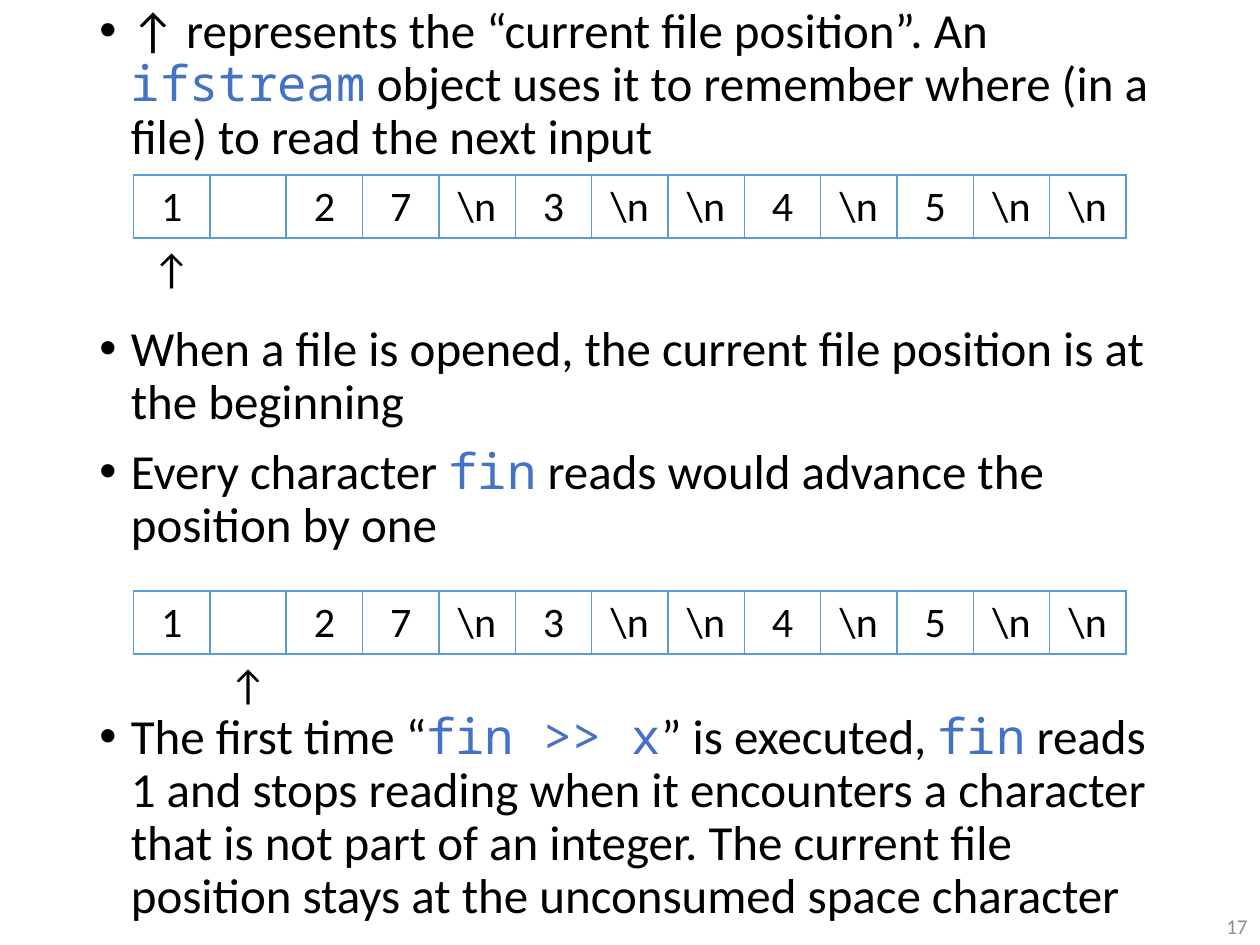
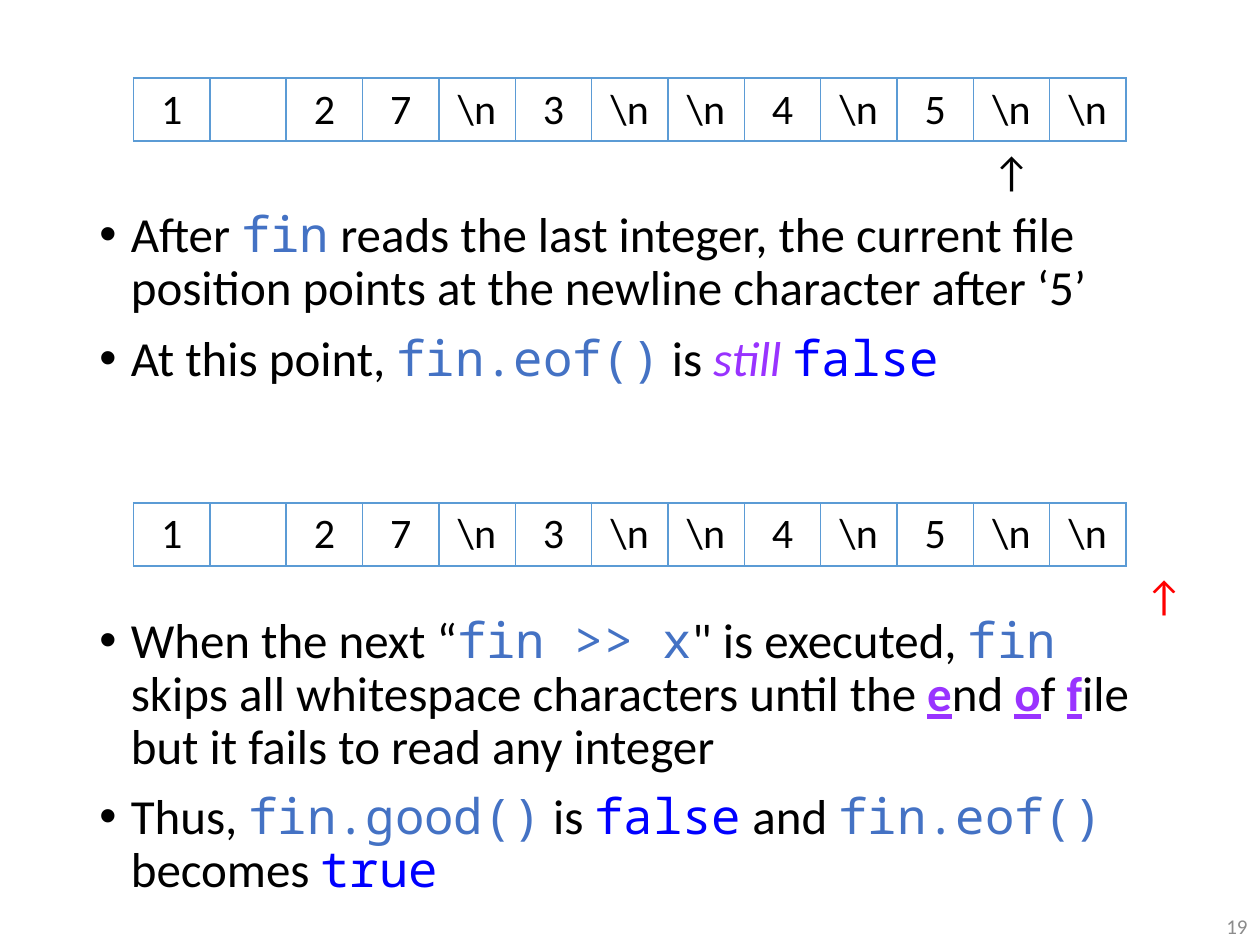
"""Two slides on how the current file position moves while reading integers."""
from dataclasses import dataclass

from lxml.etree import SubElement
from pptx import Presentation
from pptx.dml.color import RGBColor
from pptx.enum.text import MSO_ANCHOR, PP_ALIGN
from pptx.oxml.ns import qn
from pptx.util import Inches, Pt

BLACK = RGBColor(0x00, 0x00, 0x00)
GRAY = RGBColor(0x8C, 0x8C, 0x8C)
CODE_BLUE = RGBColor(0x44, 0x72, 0xC4)
KEYWORD_BLUE = RGBColor(0x00, 0x00, 0xFF)
PURPLE = RGBColor(0x99, 0x33, 0xFF)
RED = RGBColor(0xFF, 0x00, 0x00)
GRID_BLUE = RGBColor(0x5B, 0x9B, 0xD5)

SANS, MONO = "Calibri", "Noto Sans Mono"
PLAIN = {"name": SANS, "color": BLACK}
CODE = {"name": MONO, "color": CODE_BLUE}
KEYWORD = {"name": MONO, "color": KEYWORD_BLUE}
STRESS = {"name": SANS, "color": PURPLE, "italic": True}
INITIAL = {"name": SANS, "color": PURPLE, "bold": True, "underline": True}

FILE_CHARS = ["1", "", "2", "7", r"\n", "3", r"\n", r"\n", "4", r"\n", "5", r"\n", r"\n"]
GRID_LEFT, ROW_H = 1.06, 0.5
CELL_W = 7.88 / len(FILE_CHARS)
NO_STYLE = "{2D5ABB26-0587-4C30-8999-92F81FD0307C}"
BODY_LEFT, BODY_W = 0.69, 8.62
BULLET_GAP, SKIPPED_LINE = 10, 40.4


@dataclass
class Bullet:
    """A bullet made of styled pieces, with room for skipped lines above."""
    pieces: list[tuple[str, dict]]
    skipped: int = 0


@dataclass
class FileGrid:
    """The characters of the file, with an arrow under one column."""
    top: float
    position: int
    arrow_color: RGBColor = BLACK


@dataclass
class PositionSlide:
    """The content of one slide."""
    number: int
    body_top: float
    body_height: float
    bullets: list[Bullet]
    grids: list[FileGrid]


SLIDES = [
    PositionSlide(17, 0, 7.5, [
        Bullet([("↑ represents the “current file position”. An ", PLAIN), ("ifstream", CODE),
                (" object uses it to remember where (in a file) to read the next input", PLAIN)]),
        Bullet([("When a file is opened, the current file position is at the beginning", PLAIN)],
               skipped=2),
        Bullet([("Every character ", PLAIN), ("fin", CODE),
                (" reads would advance the position by one", PLAIN)]),
        Bullet([("The first time “", PLAIN), ("fin >> x", CODE), ("” is executed, ", PLAIN),
                ("fin", CODE),
                (" reads 1 and stops reading when it encounters a character that is not part of "
                 "an integer. The current file position stays at the unconsumed space character",
                 PLAIN)], skipped=2),
    ], [FileGrid(1.39, 0), FileGrid(4.69, 1)]),
    PositionSlide(19, 1.62, 5.63, [
        Bullet([("After ", PLAIN), ("fin", CODE),
                (" reads the last integer, the current file position points at the newline "
                 "character after ‘5’", PLAIN)]),
        Bullet([("At this point, ", PLAIN), ("fin.eof()", CODE), (" is ", PLAIN),
                ("still ", STRESS), ("false", KEYWORD)]),
        Bullet([("When the next “", PLAIN), ("fin >> x", CODE), ("\" is executed, ", PLAIN),
                ("fin", CODE), (" skips all whitespace characters until the ", PLAIN),
                ("e", INITIAL), ("nd ", PLAIN), ("o", INITIAL), ("f ", PLAIN), ("f", INITIAL),
                ("ile but it fails to read any integer", PLAIN)], skipped=3),
        Bullet([("Thus, ", PLAIN), ("fin.good()", CODE), (" is ", PLAIN), ("false", KEYWORD),
                (" and ", PLAIN), ("fin.eof()", CODE), (" becomes ", PLAIN),
                ("true", KEYWORD)]),
    ], [FileGrid(3.99, 13, RED), FileGrid(0.62, 11)]),
]


def add_run(p, text: str, size: float, style: dict) -> None:
    """Append a run and set its font from a style."""
    r = p.add_run()
    r.text = text
    r.font.size = Pt(size)
    for name, value in style.items():
        if name == "color":
            r.font.color.rgb = value
        else:
            setattr(r.font, name, value)


def add_box(s, left: float, top: float, width: float, height: float, anchor: MSO_ANCHOR):
    """Add a wrapping text box and return its text frame."""
    tf = s.shapes.add_textbox(*map(Inches, (left, top, width, height))).text_frame
    tf.word_wrap = True
    tf.vertical_anchor = anchor
    return tf


def add_bullets(s, slide: PositionSlide) -> None:
    """Draw the body text."""
    tf = add_box(s, BODY_LEFT, slide.body_top, BODY_W, slide.body_height, MSO_ANCHOR.TOP)
    for i, bullet in enumerate(slide.bullets):
        p = tf.add_paragraph() if i else tf.paragraphs[0]
        p.line_spacing = 0.9
        if i:
            p.space_before = Pt(BULLET_GAP + bullet.skipped * SKIPPED_LINE)
        pPr = p._p.get_or_add_pPr()
        pPr.set("marL", str(Inches(0.25)))
        pPr.set("indent", str(-Inches(0.25)))
        SubElement(pPr, qn("a:buFont"), typeface="Arial")
        SubElement(pPr, qn("a:buChar"), char="•")
        for text, style in bullet.pieces:
            add_run(p, text, 28, style)


def add_borders(cell, sides: str) -> None:
    """Outline the given sides of a cell, out of L, R, T and B."""
    tcPr = cell._tc.get_or_add_tcPr()
    for side in sides:
        ln = SubElement(tcPr, qn(f"a:ln{side}"), w=str(Pt(1)))
        fill = SubElement(ln, qn("a:solidFill"))
        SubElement(fill, qn("a:srgbClr"), val=str(GRID_BLUE))


def fill_cell(cell, text: str, color: RGBColor, sides: str) -> None:
    """Write one centred character in an unfilled cell."""
    add_borders(cell, sides)
    cell.fill.background()
    p = cell.text_frame.paragraphs[0]
    p.alignment = PP_ALIGN.CENTER
    if text:
        add_run(p, text, 24, PLAIN | {"color": color})


def add_file_grid(s, grid: FileGrid) -> None:
    """Draw the file characters and the arrow row below them."""
    count = len(FILE_CHARS)
    cols = max(count, grid.position + 1)
    table = s.shapes.add_table(2, cols, Inches(GRID_LEFT), Inches(grid.top),
                               Inches(cols * CELL_W), Inches(2 * ROW_H)).table
    table.first_row = table.horz_banding = False
    table._tbl.tblPr.find(qn("a:tableStyleId")).text = NO_STYLE
    for col in range(cols):
        inside = col < count
        table.columns[col].width = Inches(CELL_W)
        fill_cell(table.cell(0, col), FILE_CHARS[col] if inside else "", BLACK,
                  "LRTB" if inside else "L")
        arrow = table.cell(1, col)
        arrow.margin_left = arrow.margin_right = 0
        fill_cell(arrow, "↑" if col == grid.position else "", grid.arrow_color,
                  "T" if inside else "")


def add_slide_number(s, number: int) -> None:
    """Draw the number in the lower right corner."""
    p = add_box(s, 7.75, 7.1, 2.25, 0.4, MSO_ANCHOR.BOTTOM).paragraphs[0]
    p.alignment = PP_ALIGN.RIGHT
    add_run(p, str(number), 12, {"name": SANS, "color": GRAY})


def main() -> None:
    """Build and save the presentation."""
    prs = Presentation()
    prs.slide_width, prs.slide_height = Inches(10), Inches(7.5)
    for slide in SLIDES:
        s = prs.slides.add_slide(prs.slide_layouts[6])
        add_bullets(s, slide)
        add_slide_number(s, slide.number)
        for grid in slide.grids:
            add_file_grid(s, grid)
    prs.save("out.pptx")


if __name__ == "__main__":
    main()
